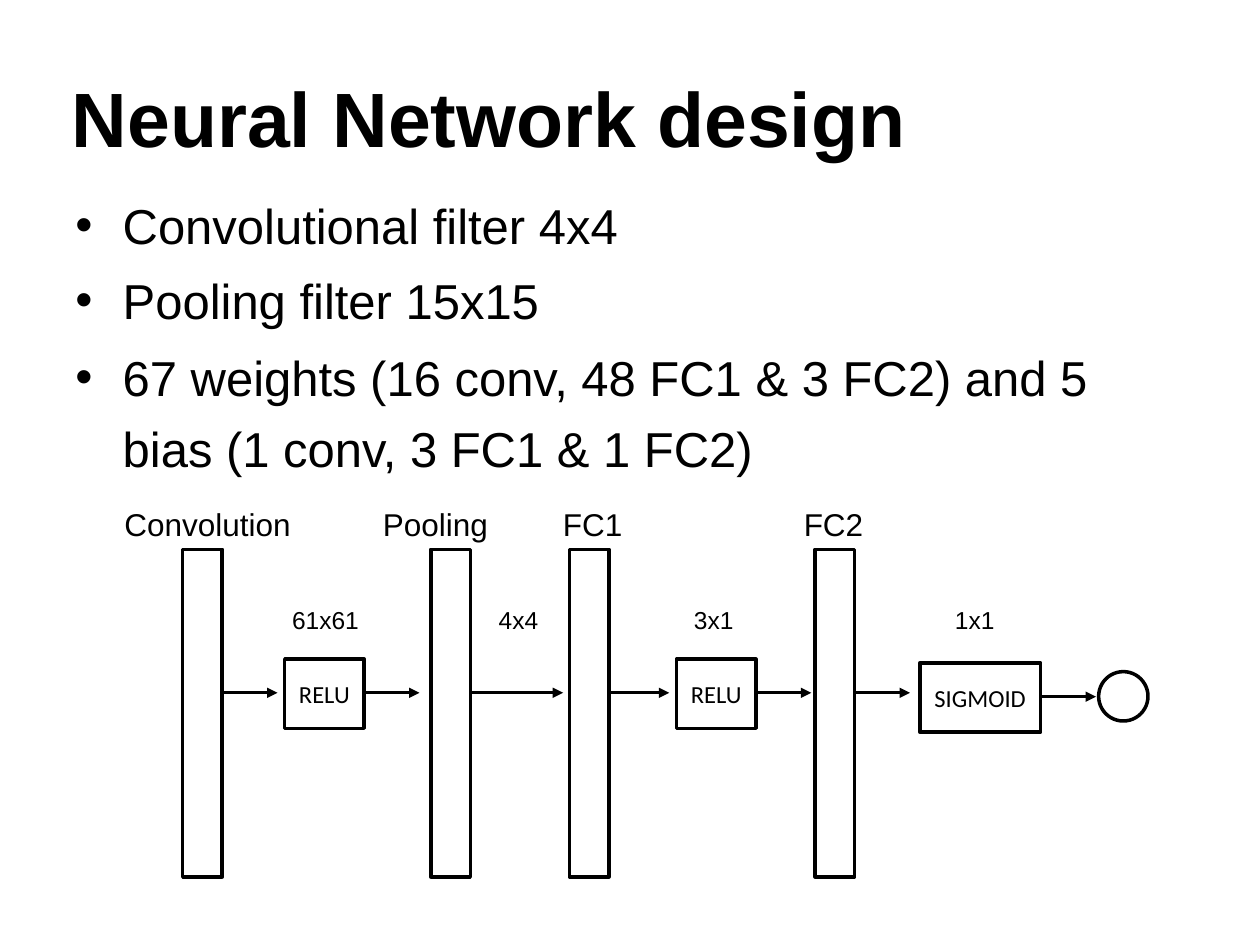
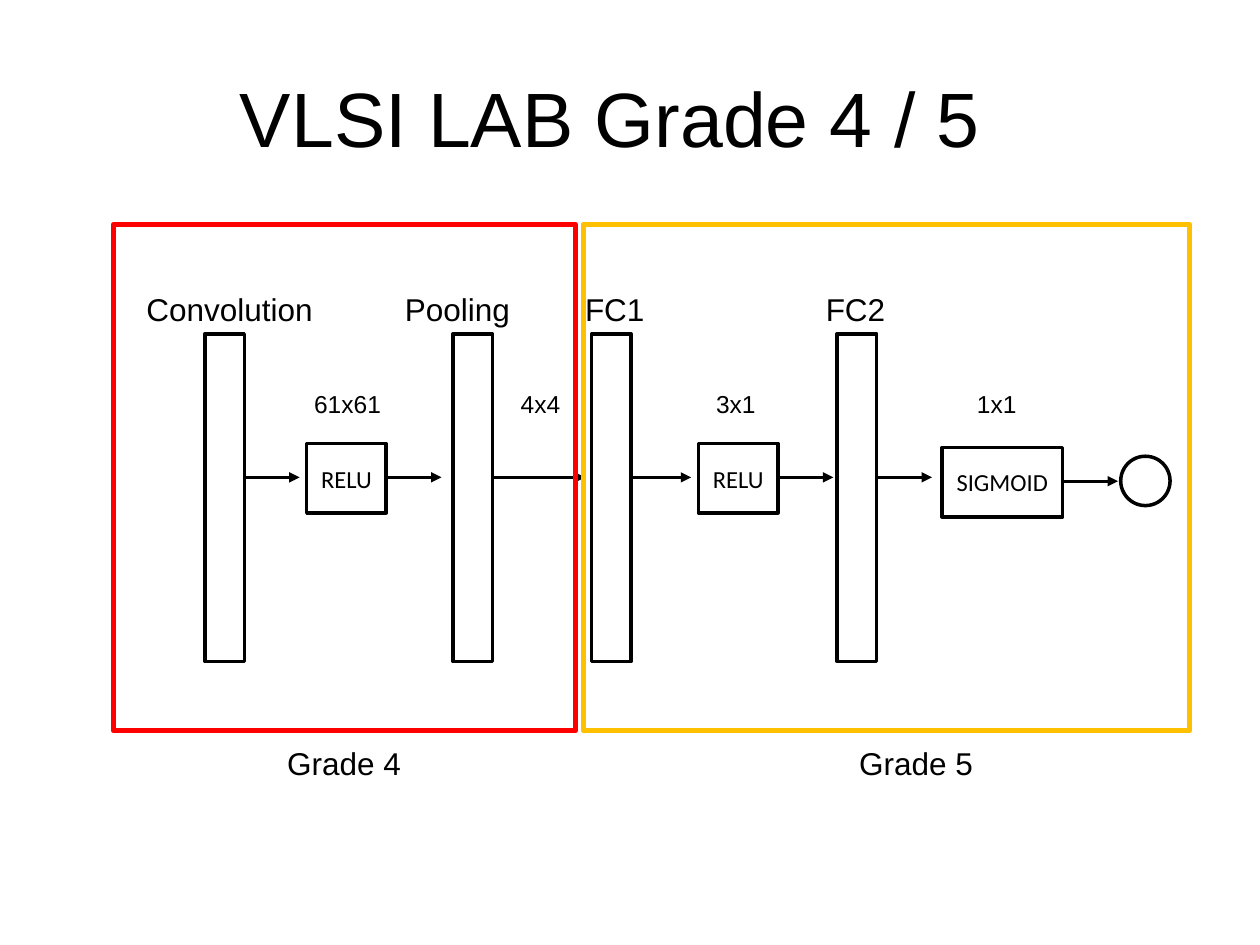
import pptx
import pptx.util
import pptx.dml.color
import pptx.enum.shapes
import pptx.enum.text
import pptx.oxml.ns
from lxml import etree

Pt = pptx.util.Pt
RGBColor = pptx.dml.color.RGBColor
Shape = pptx.enum.shapes.MSO_SHAPE
Align = pptx.enum.text.PP_ALIGN
Anchor = pptx.enum.text.MSO_ANCHOR
qn = pptx.oxml.ns.qn

BLACK = RGBColor(0, 0, 0)
WHITE = RGBColor(255, 255, 255)
RED = RGBColor(255, 0, 0)
AMBER = RGBColor(255, 192, 0)
TITLE_LAYOUT = 5

LAYERS = [
    ("Convolution", 0, 121.7, 40.4),
    ("Pooling", 147.7, 121.7, 182.2),
    ("FC1", 250.6, 54, 261.4),
    ("FC2", 388.2, 63.4, 401.8),
]
ACTIVATIONS = [
    ("RELU", 98.7, 91.5, 45.4),
    ("RELU", 322.6, 91.5, 45.4),
    ("SIGMOID", 461.6, 93.7, 69.1),
]
SIZES = [
    ("61x61", 95.8, 58.3),
    ("4x4", 213.9, 38.9),
    ("3x1", 325.5, 38.9),
    ("1x1", 474.6, 38.2),
]
FLOW_Y = 110.8
ARROWS = [
    (63.4, 94.6, FLOW_Y),
    (144.1, 175.7, FLOW_Y),
    (205.3, 257.8, FLOW_Y),
    (283.8, 318.4, FLOW_Y),
    (368, 399.6, FLOW_Y),
    (424.9, 456, FLOW_Y),
    (530.7, 562.3, 113),
]


def place(left, top, width, height):
    return Pt(left), Pt(top), Pt(width), Pt(height)


def style_runs(para, size, font="Arial", bold=False):
    for span in para.runs:
        span.font.size = Pt(size)
        span.font.name = font
        span.font.bold = bold
        span.font.color.rgb = BLACK


def add_title(page, text, left, align, bold):
    title = page.shapes.title
    title.left, title.top, title.width, title.height = place(left, 21.6, 648, 90)
    frame = title.text_frame
    frame.text = text
    frame.margin_left = frame.margin_right = Pt(5)
    frame.vertical_anchor = Anchor.MIDDLE
    para = frame.paragraphs[0]
    para.alignment = align
    style_runs(para, 44, bold=bold)


def add_label(shapes, text, size, left, top, width, height, wrap=True):
    box = shapes.add_textbox(*place(left, top, width, height))
    box.text_frame.word_wrap = wrap
    box.text_frame.text = text
    style_runs(box.text_frame.paragraphs[0], size)


def add_block(shapes, kind, left, top, width, height, line=BLACK, weight=2, fill=WHITE):
    block = shapes.add_shape(kind, *place(left, top, width, height))
    block.shadow.inherit = False
    if fill is None:
        block.fill.background()
    else:
        block.fill.solid()
        block.fill.fore_color.rgb = fill
    block.line.color.rgb = line
    block.line.width = Pt(weight)
    return block


def add_arrow(shapes, start, end, y):
    arrow = shapes.add_connector(
        pptx.enum.shapes.MSO_CONNECTOR.STRAIGHT, Pt(start), Pt(y), Pt(end), Pt(y)
    )
    arrow.line.color.rgb = BLACK
    arrow.line.width = Pt(1.5)
    properties = arrow.line._get_or_add_ln()
    etree.SubElement(properties, qn("a:tailEnd"), type="triangle")
    etree.SubElement(arrow._element.spPr, qn("a:effectLst"))


def add_network(page, left, top):
    shapes = page.shapes.add_group_shape().shapes
    for name, label_x, label_width, bar_x in LAYERS:
        add_block(shapes, Shape.RECTANGLE, left + bar_x, top + 28.8, 22.6, 187.2)
        add_label(shapes, name, 18, left + label_x, top, label_width, 28.8)
    add_block(shapes, Shape.OVAL, left + 563.8, top + 98.7, 28.2, 28.2)
    for start, end, y in ARROWS:
        add_arrow(shapes, left + start, left + end, top + y)
    for name, x, y, width in ACTIVATIONS:
        block = add_block(shapes, Shape.RECTANGLE, left + x, top + y, width, 39.6)
        frame = block.text_frame
        frame.text = name
        frame.vertical_anchor = Anchor.MIDDLE
        frame.word_wrap = True
        frame.paragraphs[0].alignment = Align.CENTER
        style_runs(frame.paragraphs[0], 14, "Calibri")
    for text, x, width in SIZES:
        add_label(shapes, text, 14, left + x, top + 56.9, width, 24.2)


def add_bullets(page, items, left, top, width, height):
    frame = page.shapes.add_textbox(*place(left, top, width, height)).text_frame
    frame.word_wrap = True
    frame.text = "\n".join(text for text, gap in items)
    for para, (text, gap) in zip(frame.paragraphs, items):
        properties = para._p.get_or_add_pPr()
        properties.set("marL", str(Pt(27)))
        properties.set("indent", str(-Pt(27)))
        etree.SubElement(properties, qn("a:buFont"), typeface="Arial")
        etree.SubElement(properties, qn("a:buChar"), char="•")
        para.line_spacing = 1.07
        para.space_before = Pt(gap)
        style_runs(para, 28)
    tail = frame.paragraphs[-1].add_run()
    tail.text = " "
    tail.font.size = Pt(32)
    tail.font.name = "Arial"


def add_grade(page, name, color, left, width, label_x):
    top, height = 128.2, 289.4
    add_block(page.shapes, Shape.RECTANGLE, left, top, width, height, color, 3, None)
    add_label(page.shapes, name, 18, left + label_x, top + height + 4.3, 79.2, 28.8, False)


def add_design_page(deck):
    page = deck.slides.add_slide(deck.slide_layouts[TITLE_LAYOUT])
    add_title(page, "Neural Network design", 36, Align.LEFT, True)
    items = [
        ("Convolutional filter 4x4", 0),
        ("Pooling filter 15x15", 7),
        ("67 weights (16 conv, 48 FC1 & 3 FC2) and 5 bias (1 conv, 3 FC1 & 1 FC2)", 8),
    ]
    add_bullets(page, items, 36, 105.8, 649.4, 177.8)
    add_network(page, 64, 285.1)


def add_grades_page(deck):
    page = deck.slides.add_slide(deck.slide_layouts[TITLE_LAYOUT])
    add_title(page, "VLSI LAB Grade 4 / 5 ", 31, Align.CENTER, False)
    add_network(page, 76.6, 162)
    add_grade(page, "Grade 4", RED, 64.8, 264.2, 92.2)
    add_grade(page, "Grade 5", AMBER, 333.4, 346.3, 150.5)


def main():
    deck = pptx.Presentation()
    deck.slide_width, deck.slide_height = Pt(720), Pt(540)
    add_design_page(deck)
    add_grades_page(deck)
    deck.save("out.pptx")


if __name__ == "__main__":
    main()
